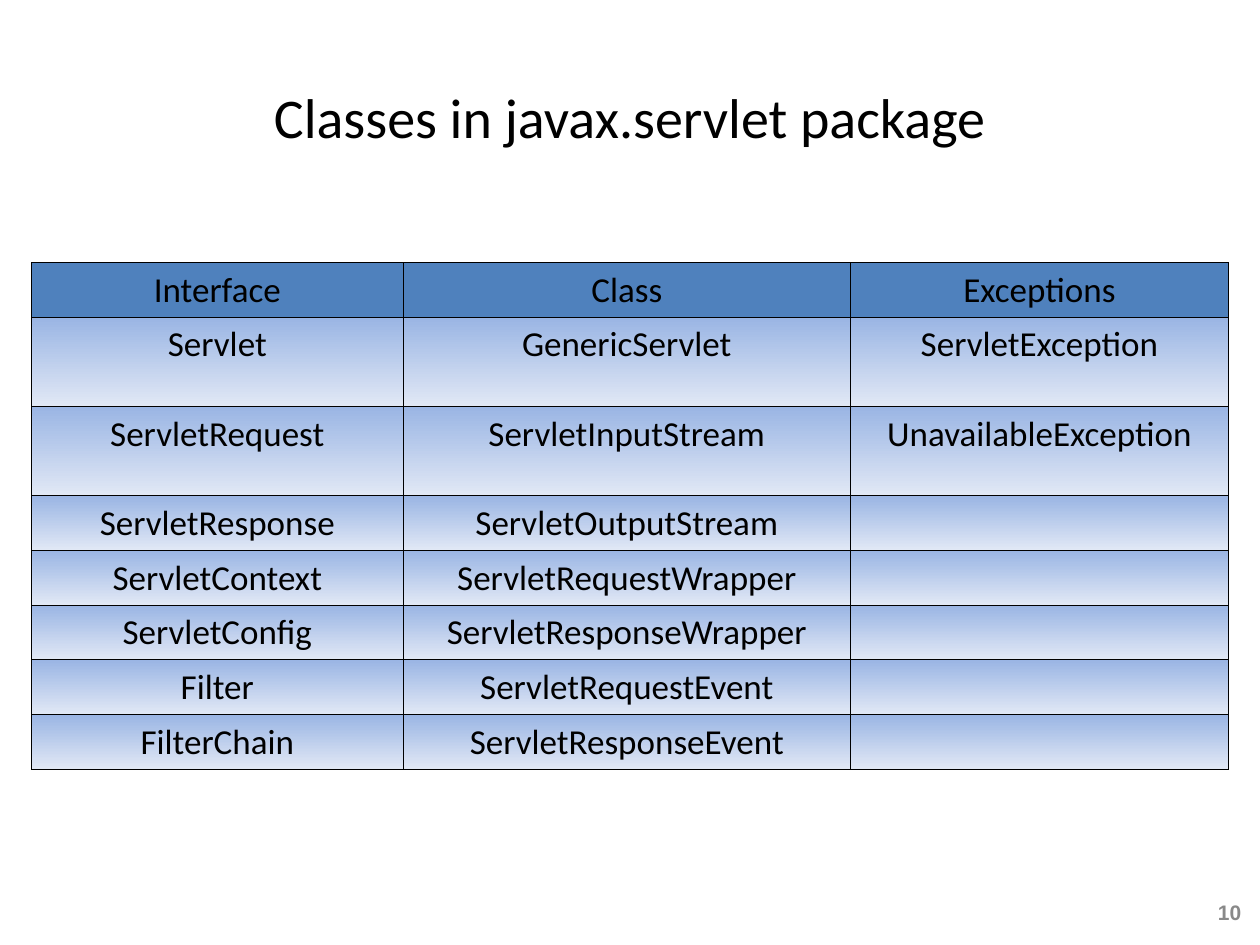
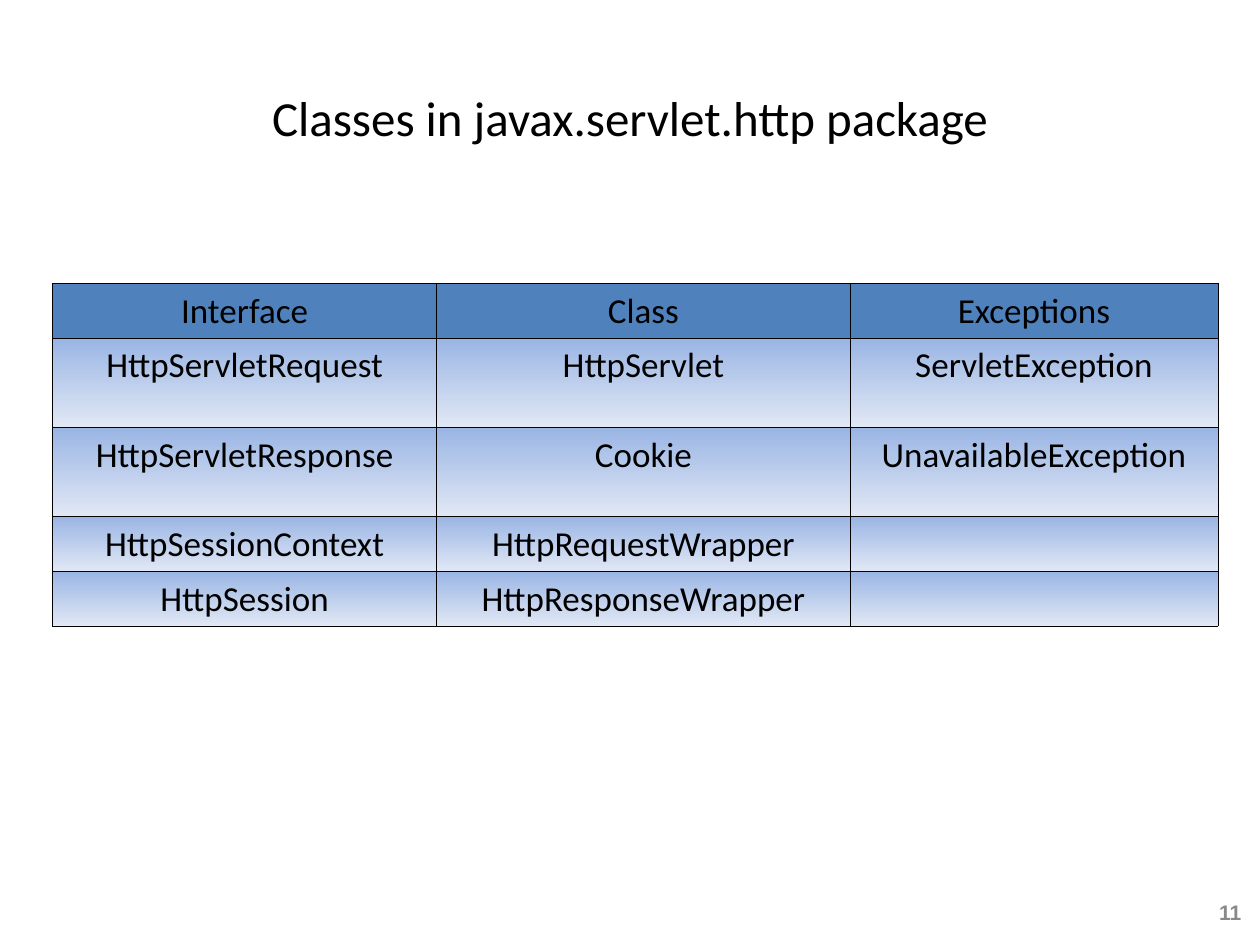
"""Build two slides that list the classes of the servlet packages in tables."""

import dataclasses

import lxml.etree
import pptx
import pptx.dml.color
import pptx.enum.text
import pptx.oxml.ns
import pptx.util

Pt = pptx.util.Pt
Align = pptx.enum.text.PP_ALIGN


@dataclasses.dataclass(frozen=True)
class Theme:
    text: str = "000000"
    page_number: str = "898989"
    header: str = "4F81BD"
    body_top: str = "9AB5E4"
    body_bottom: str = "E1E8F5"
    border: str = "000000"
    border_width: float = 0.45
    font: str = "Calibri"
    number_font: str = "Arial"
    cell_size: int = 20
    number_size: int = 12


theme = Theme()
HEADINGS = ("Interface", "Class", "Exceptions")
ROW_HEIGHT = 31
TALL_ROW_HEIGHT = 51
TALL_ROWS = (1, 2)

pages = [
    {
        "title": "Classes in javax.servlet package",
        "title_size": 32,
        "number": "10",
        "left": 18,
        "top": 150,
        "widths": (212.4, 255.6, 216),
        "rows": [
            ("Servlet", "GenericServlet", "ServletException"),
            ("ServletRequest", "ServletInputStream", "UnavailableException"),
            ("ServletResponse", "ServletOutputStream", ""),
            ("ServletContext", "ServletRequestWrapper", ""),
            ("ServletConfig", "ServletResponseWrapper", ""),
            ("Filter", "ServletRequestEvent", ""),
            ("FilterChain", "ServletResponseEvent", ""),
        ],
    },
    {
        "title": "Classes in javax.servlet.http package",
        "title_size": 28,
        "number": "11",
        "left": 30,
        "top": 162,
        "widths": (219.6, 236.2, 210.2),
        "rows": [
            ("HttpServletRequest", "HttpServlet", "ServletException"),
            ("HttpServletResponse", "Cookie", "UnavailableException"),
            ("HttpSessionContext", "HttpRequestWrapper", ""),
            ("HttpSession", "HttpResponseWrapper", ""),
        ],
    },
]


def write(text_frame, text, size, align=Align.CENTER, font=theme.font, color=theme.text, bold=False):
    text_frame.word_wrap = True
    paragraph = text_frame.paragraphs[0]
    paragraph.alignment = align
    run = paragraph.add_run()
    run.text = text
    run.font.name = font
    run.font.size = Pt(size)
    run.font.bold = bold
    run.font.color.rgb = pptx.dml.color.RGBColor.from_string(color)


def add_borders(cell):
    qn = pptx.oxml.ns.qn
    properties = cell._tc.get_or_add_tcPr()
    for side in ("a:lnL", "a:lnR", "a:lnT", "a:lnB"):
        line = lxml.etree.SubElement(properties, qn(side), w=str(Pt(theme.border_width)))
        fill = lxml.etree.SubElement(line, qn("a:solidFill"))
        lxml.etree.SubElement(fill, qn("a:srgbClr"), val=theme.border)


presentation = pptx.Presentation()
presentation.slide_width = Pt(720)
presentation.slide_height = Pt(540)

for page in pages:
    slide = presentation.slides.add_slide(presentation.slide_layouts[6])

    title = slide.shapes.add_textbox(Pt(36), Pt(21.6), Pt(648), Pt(90))
    title.text_frame.vertical_anchor = pptx.enum.text.MSO_ANCHOR.MIDDLE
    write(title.text_frame, page["title"], page["title_size"])

    number = slide.shapes.add_textbox(Pt(681), Pt(508.5), Pt(35.4), Pt(25))
    number.text_frame.vertical_anchor = pptx.enum.text.MSO_ANCHOR.MIDDLE
    write(number.text_frame, page["number"], theme.number_size, Align.RIGHT,
          theme.number_font, theme.page_number, True)

    rows = [HEADINGS, *page["rows"]]
    heights = [TALL_ROW_HEIGHT if index in TALL_ROWS else ROW_HEIGHT for index in range(len(rows))]
    table = slide.shapes.add_table(
        len(rows), len(HEADINGS), Pt(page["left"]), Pt(page["top"]),
        Pt(sum(page["widths"])), Pt(sum(heights))).table
    table.first_row = False
    table.horz_banding = False
    for column, width in zip(table.columns, page["widths"]):
        column.width = Pt(width)

    for row_index, names in enumerate(rows):
        table.rows[row_index].height = Pt(heights[row_index])
        for column_index, name in enumerate(names):
            cell = table.cell(row_index, column_index)
            add_borders(cell)
            if row_index == 0:
                cell.fill.solid()
                cell.fill.fore_color.rgb = pptx.dml.color.RGBColor.from_string(theme.header)
            else:
                cell.fill.gradient()
                cell.fill.gradient_angle = 270
                for stop, color in zip(cell.fill.gradient_stops, (theme.body_top, theme.body_bottom)):
                    stop.color.rgb = pptx.dml.color.RGBColor.from_string(color)
            if name:
                write(cell.text_frame, name, theme.cell_size)

presentation.save("out.pptx")
